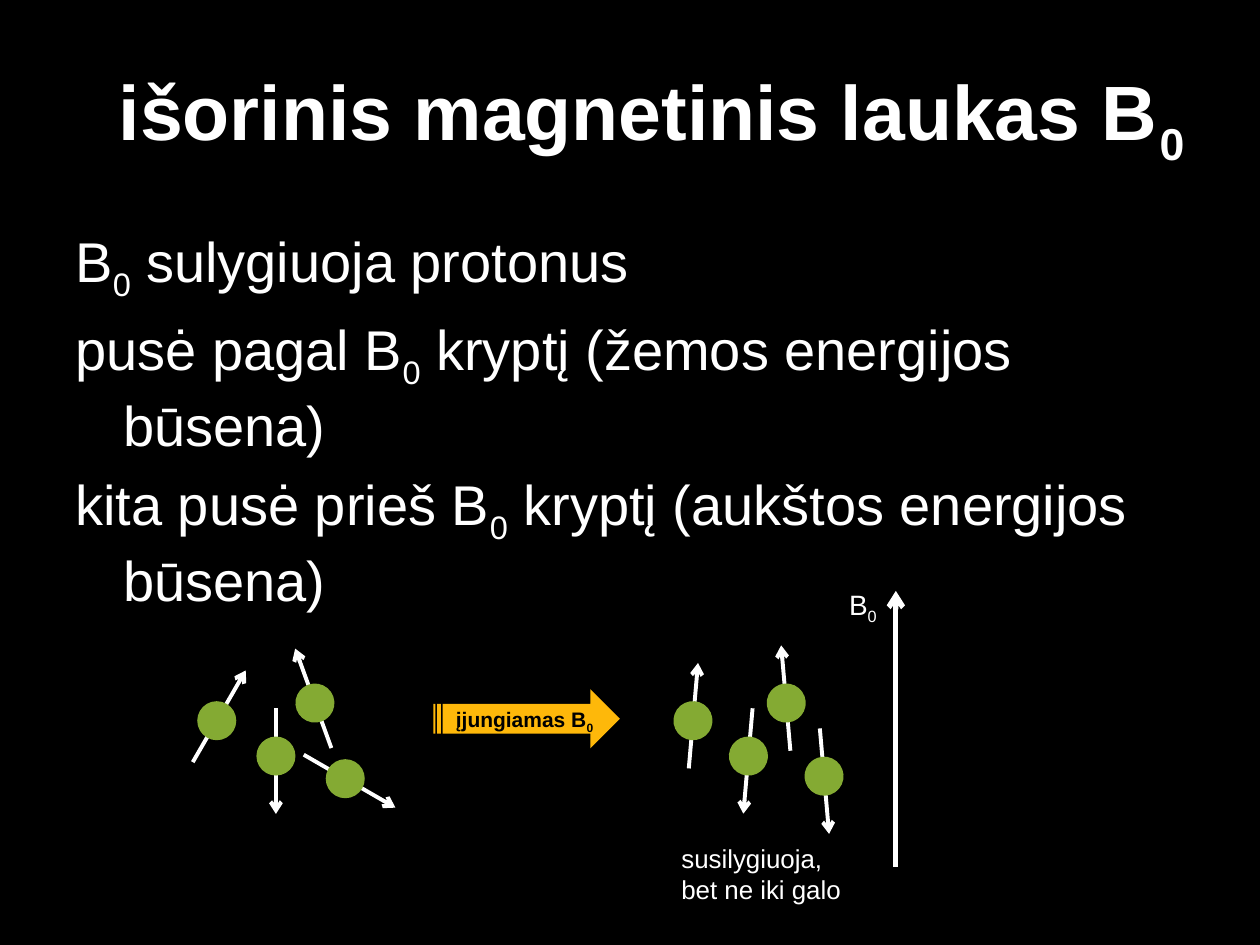
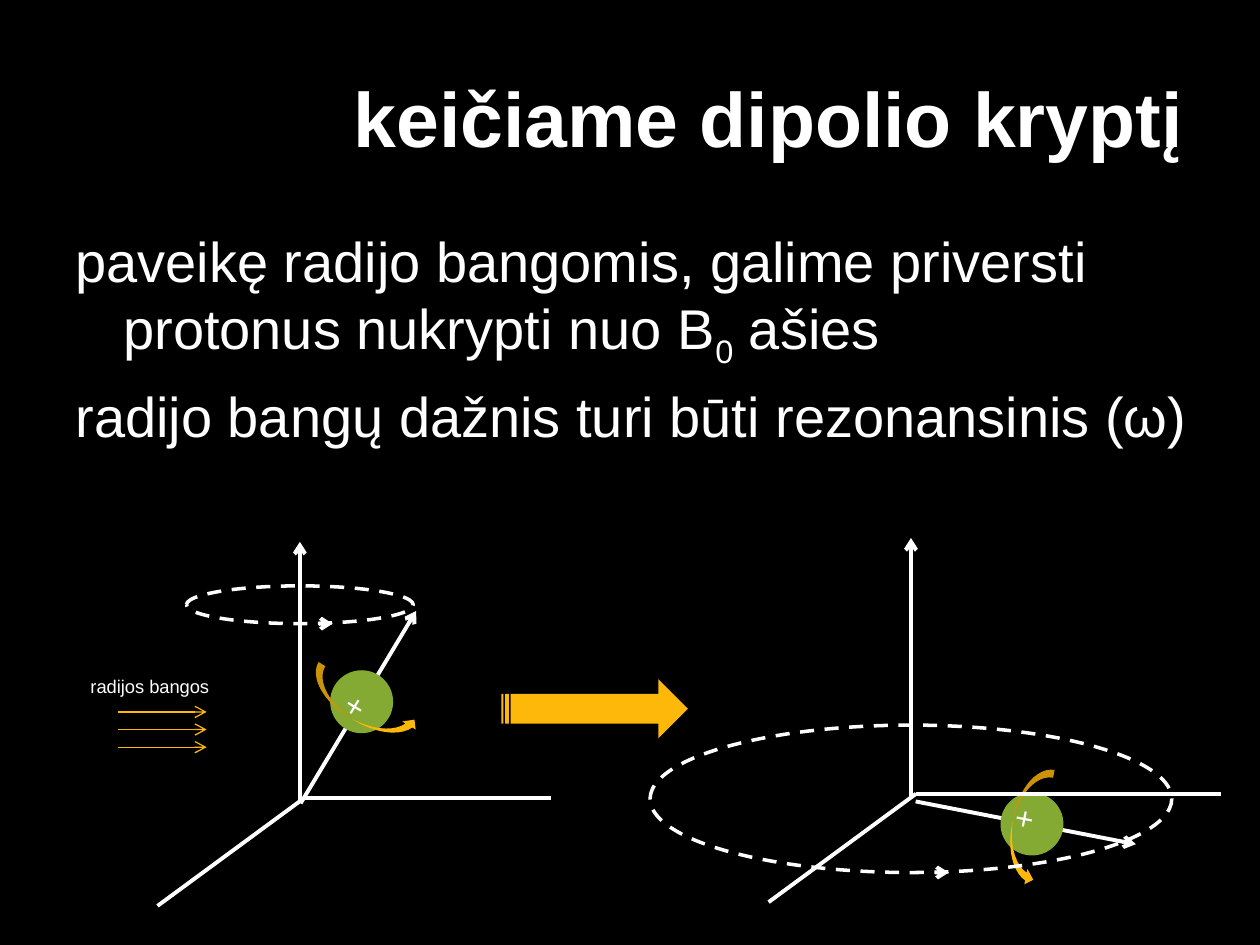
"""Build two slides on proton alignment and dipole precession in a magnetic field."""
import math
from dataclasses import dataclass

import lxml.etree
import pptx
import pptx.dml.color
import pptx.enum.dml
import pptx.enum.shapes
import pptx.enum.text
import pptx.oxml.ns
import pptx.presentation
import pptx.shapes.autoshape
import pptx.slide
import pptx.text.text
import pptx.util

Inches = pptx.util.Inches
Shapes = pptx.enum.shapes.MSO_SHAPE
FONT = "Arial"
COLOURS = {
    "background": "000000",
    "text": "FFFFFF",
    "proton": "84AA33",
    "arrow": "FEB80A",
    "arrow_text": "000000",
}


@dataclass(frozen=True)
class Box:
    """A rectangle in inches."""
    left: float
    top: float
    width: float
    height: float

    def lengths(self) -> tuple:
        """Return the four sides as lengths."""
        return tuple(Inches(side) for side in (self.left, self.top, self.width, self.height))


@dataclass(frozen=True)
class TextStyle:
    """How the text of a box looks."""
    size: float
    colour: str = "text"
    bold: bool = False
    spaced: bool = True
    hanging: bool = False
    wrap: bool = True
    right: bool = False


@dataclass(frozen=True)
class Proton:
    """A proton whose spin arrow points clockwise from up by an angle in degrees."""
    x: float
    y: float
    angle: float
    diameter: float = 0.31
    behind: float = 0.38
    ahead: float = 0.46

    def at(self, across: float, down: float) -> tuple[float, float]:
        """Return the slide position of an offset in the proton's turned frame."""
        turn = math.radians(self.angle)
        return (self.x + across * math.cos(turn) - down * math.sin(turn),
                self.y + across * math.sin(turn) + down * math.cos(turn))

    def box(self, across: float, down: float, width: float, height: float) -> Box:
        """Return a box centred on an offset in the turned frame."""
        x, y = self.at(across, down)
        return Box(x - width / 2, y - height / 2, width, height)


@dataclass(frozen=True)
class Axes:
    """Three axes from an origin, with a dashed orbit around the vertical one."""
    x: float
    y: float
    reach: float
    orbit_y: float
    orbit_width: float
    orbit_height: float
    orbit_arrow: float


TITLE_BOX = Box(0.5, 0.3, 9, 1.25)
TITLE_STYLE = TextStyle(44, bold=True, spaced=False, right=True)
BODY_STYLE = TextStyle(32, hanging=True)

SCATTERED = [
    Proton(1.72, 5.72, 30), Proton(2.5, 5.58, -20),
    Proton(2.19, 6, 180), Proton(2.74, 6.18, 120),
]
ALIGNED = [
    Proton(5.5, 5.72, 5), Proton(6.24, 5.58, -5),
    Proton(5.94, 6, 185), Proton(6.54, 6.16, 175),
]
PRECESSING = [
    Proton(2.87, 5.57, 31, 0.5, 0.94, 0.84),
    Proton(8.19, 6.54, 101, 0.5, 0.94, 0.84),
]
PRECESSION_AXES = [
    Axes(2.42, 6.33, 1.95, 4.8, 1.8, 0.3, 0.15),
    Axes(7.27, 6.3, 2.42, 6.34, 4.14, 1.17, 0.19),
]


def rgb(name: str) -> pptx.dml.color.RGBColor:
    """Return a named colour."""
    return pptx.dml.color.RGBColor.from_string(COLOURS[name])


def write_text(frame: pptx.text.text.TextFrame, lines: list[str], style: TextStyle) -> None:
    """Fill a frame with styled paragraphs, where _0 stands for a subscript 0."""
    frame.text = "\n".join(line.replace("_0", "0") for line in lines)
    frame.word_wrap = style.wrap
    for paragraph, line in zip(frame.paragraphs, lines):
        paragraph.clear()
        paragraph.alignment = (pptx.enum.text.PP_ALIGN.RIGHT if style.right
                               else pptx.enum.text.PP_ALIGN.LEFT)
        if style.spaced:
            paragraph.space_before = pptx.util.Pt(style.size * 0.2)
        if style.hanging:
            properties = paragraph._p.get_or_add_pPr()
            properties.set("marL", str(Inches(0.38)))
            properties.set("indent", str(-Inches(0.38)))
        for index, piece in enumerate(line.replace("_0", "|0|").split("|")):
            if piece:
                run = paragraph.add_run()
                run.text = piece
                run.font.name = FONT
                run.font.size = pptx.util.Pt(style.size)
                run.font.bold = style.bold
                run.font.color.rgb = rgb(style.colour)
                if index % 2:
                    run._r.get_or_add_rPr().set("baseline", "-25000")


def add_text(slide: pptx.slide.Slide, box: Box, lines: list[str], style: TextStyle,
             rotation: float = 0) -> None:
    """Add a text box."""
    shape = slide.shapes.add_textbox(*box.lengths())
    shape.rotation = rotation
    write_text(shape.text_frame, lines, style)


def add_filled(slide: pptx.slide.Slide, kind: Shapes, box: Box, colour: str,
               rotation: float = 0) -> None:
    """Add a filled shape without outline."""
    shape = slide.shapes.add_shape(kind, *box.lengths())
    shape.shadow.inherit = False
    shape.rotation = rotation
    shape.fill.solid()
    shape.fill.fore_color.rgb = rgb(colour)
    shape.line.fill.background()


def add_line(slide: pptx.slide.Slide, start: tuple[float, float], end: tuple[float, float],
             arrow: bool = True, colour: str = "text", width: float = 2.25) -> None:
    """Add a straight line, with an open arrowhead at its end if asked."""
    connector = slide.shapes.add_connector(
        pptx.enum.shapes.MSO_CONNECTOR.STRAIGHT,
        *(Inches(value) for value in (*start, *end)))
    connector.line.color.rgb = rgb(colour)
    connector.line.width = pptx.util.Pt(width)
    qualify = pptx.oxml.ns.qn
    if arrow:
        lxml.etree.SubElement(connector.line._get_or_add_ln(), qualify("a:tailEnd"), type="arrow")
    lxml.etree.SubElement(connector._element.spPr, qualify("a:effectLst"))


def add_proton(slide: pptx.slide.Slide, proton: Proton) -> None:
    """Add a proton on its spin arrow."""
    add_line(slide, proton.at(0, proton.behind), proton.at(0, -proton.ahead))
    add_filled(slide, Shapes.OVAL, proton.box(0, 0, proton.diameter, proton.diameter),
               "proton", proton.angle)


def add_precessing_proton(slide: pptx.slide.Slide, proton: Proton) -> None:
    """Add a proton with its charge and its direction of rotation."""
    add_proton(slide, proton)
    add_filled(slide, Shapes.CURVED_UP_ARROW, proton.box(0.02, 0.03, 0.95, 0.25),
               "arrow", proton.angle)
    add_text(slide, proton.box(-0.07, -0.02, 0.25, 0.26), ["+"],
             TextStyle(18, spaced=False, wrap=False), proton.angle)


def add_axes(slide: pptx.slide.Slide, axes: Axes) -> None:
    """Add the axes and the orbit with its direction mark."""
    origin = (axes.x, axes.y)
    centre = axes.x - 0.04
    add_line(slide, (centre, axes.y + 0.02), (centre, axes.y - 2.03))
    add_line(slide, origin, (axes.x - 1.17, axes.y + 0.86), arrow=False)
    add_line(slide, origin, (axes.x + axes.reach, axes.y), arrow=False)
    bottom = axes.orbit_y + axes.orbit_height / 2
    box = Box(centre - axes.orbit_width / 2, bottom - axes.orbit_height,
              axes.orbit_width, axes.orbit_height)
    orbit = slide.shapes.add_shape(Shapes.OVAL, *box.lengths())
    orbit.shadow.inherit = False
    orbit.fill.background()
    orbit.line.color.rgb = rgb("text")
    orbit.line.width = pptx.util.Pt(2)
    orbit.line.dash_style = pptx.enum.dml.MSO_LINE.DASH
    mark = centre + axes.orbit_arrow
    add_line(slide, (mark, bottom), (mark + 0.11, bottom))


def add_step_arrow(slide: pptx.slide.Slide, left: float, top: float) -> None:
    """Add the striped arrow that leads from one state to the next."""
    add_filled(slide, Shapes.STRIPED_RIGHT_ARROW, Box(left, top, 1.48, 0.47), "arrow")


def add_titled_slide(presentation: pptx.presentation.Presentation, title: str,
                     body: list[str], body_width: float) -> pptx.slide.Slide:
    """Add a slide with its title and body text."""
    slide = presentation.slides.add_slide(presentation.slide_layouts[5])
    shape = slide.shapes.title
    shape.left, shape.top, shape.width, shape.height = TITLE_BOX.lengths()
    write_text(shape.text_frame, [title], TITLE_STYLE)
    shape.text_frame.auto_size = pptx.enum.text.MSO_AUTO_SIZE.NONE
    shape.text_frame.vertical_anchor = pptx.enum.text.MSO_ANCHOR.MIDDLE
    add_text(slide, Box(0.5, 1.75, body_width, 4.95), body, BODY_STYLE)
    return slide


def build_field_slide(presentation: pptx.presentation.Presentation) -> None:
    """Build the slide on protons aligning with the external field."""
    slide = add_titled_slide(presentation, "išorinis magnetinis laukas B_0", [
        "B_0 sulygiuoja protonus",
        "pusė pagal B_0 kryptį (žemos energijos būsena)",
        "kita pusė prieš B_0 kryptį (aukštos energijos būsena)",
    ], 9)
    for proton in SCATTERED + ALIGNED:
        add_proton(slide, proton)
    add_line(slide, (7.11, 6.88), (7.11, 4.69), width=3)
    add_text(slide, Box(6.64, 4.61, 0.63, 0.39), ["B_0"], TextStyle(16))
    add_step_arrow(slide, 3.44, 5.47)
    add_text(slide, Box(3.52, 5.56, 1.33, 0.3), ["įjungiamas B_0"],
             TextStyle(12, "arrow_text", bold=True, spaced=False))
    add_text(slide, Box(5.31, 6.64, 1.56, 0.7), ["susilygiuoja, bet ne iki galo"],
             TextStyle(14.8))


def build_dipole_slide(presentation: pptx.presentation.Presentation) -> None:
    """Build the slide on radio waves tilting the dipole."""
    slide = add_titled_slide(presentation, "keičiame dipolio kryptį", [
        "paveikę radijo bangomis, galime priversti protonus nukrypti nuo B_0 ašies",
        "radijo bangų dažnis turi būti rezonansinis (ω)",
    ], 9.27)
    for proton, axes in zip(PRECESSING, PRECESSION_AXES):
        add_precessing_proton(slide, proton)
        add_axes(slide, axes)
    for wave in range(3):
        height = 5.65 + wave * 0.14
        add_line(slide, (0.94, height), (1.64, height), colour="arrow", width=0.75)
    add_text(slide, Box(0.62, 5.31, 1.17, 0.31), ["radijos bangos"], TextStyle(10.5))
    add_step_arrow(slide, 3.98, 5.39)


def main() -> None:
    """Build and save the presentation."""
    presentation = pptx.Presentation()
    presentation.slide_width, presentation.slide_height = Inches(10), Inches(7.5)
    background = presentation.slide_master.background.fill
    background.solid()
    background.fore_color.rgb = rgb("background")
    build_field_slide(presentation)
    build_dipole_slide(presentation)
    presentation.save("out.pptx")


if __name__ == "__main__":
    main()
